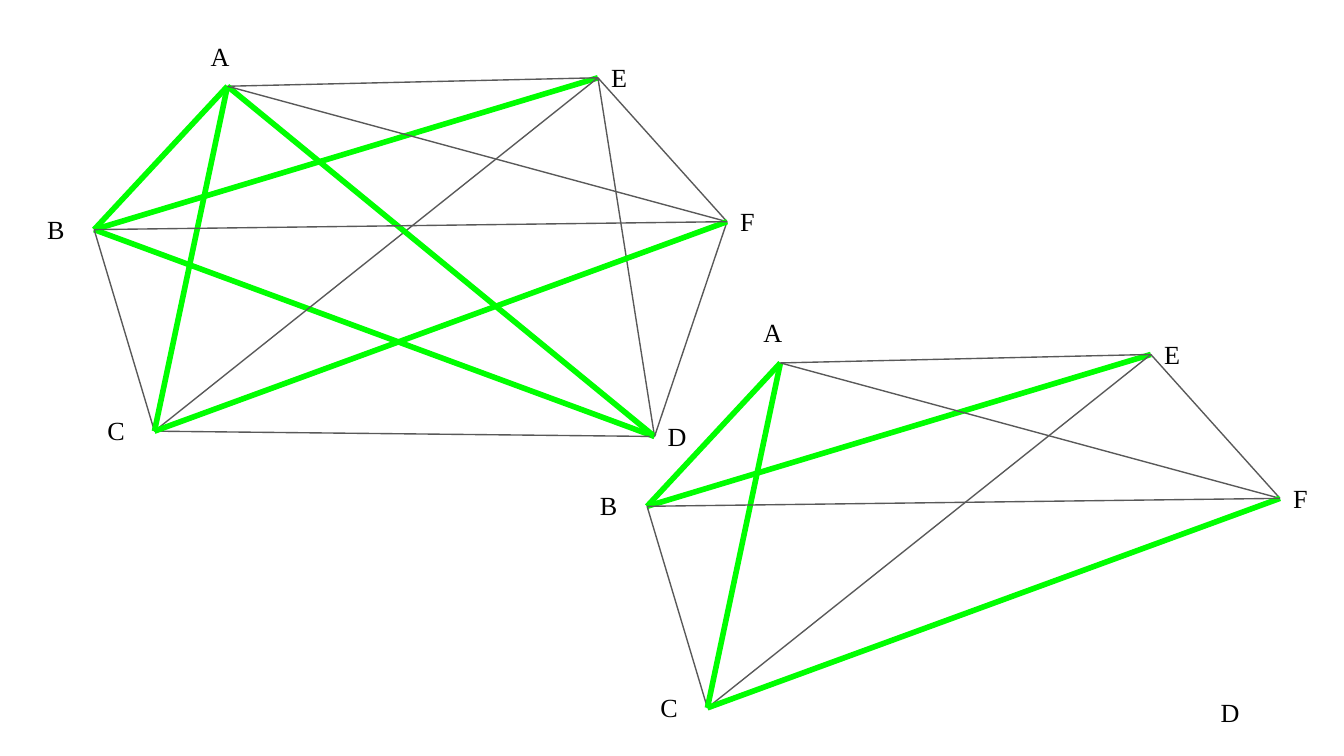
"""Build a slide with a six-point graph and the same graph without the edges of D."""
from lxml.etree import SubElement
from pptx import Presentation
from pptx.dml.color import RGBColor
from pptx.enum.shapes import MSO_CONNECTOR
from pptx.enum.text import MSO_AUTO_SIZE
from pptx.oxml.ns import qn
from pptx.util import Cm, Pt

COLORS = {"text": "000000", "green": "00FF00", "gray": "595959"}
LINE_WIDTHS = {"green": 3, "gray": 0.75}
FONT = {"name": "Times New Roman", "size": Pt(14)}
LABEL_WIDTH, LABEL_HEIGHT = 1.14, 1.12
FRAME = {
    "word_wrap": True,
    "auto_size": MSO_AUTO_SIZE.SHAPE_TO_FIT_TEXT,
    "margin_left": Cm(0.25),
    "margin_right": Cm(0.25),
    "margin_top": Cm(0.25),
    "margin_bottom": Cm(0.25),
}

TOP, LEFT, BOTTOM, RIGHT = range(4)
LABELS = {
    "A": (3.73, 0.51, BOTTOM),
    "B": (0.64, 3.78, RIGHT),
    "C": (1.78, 7.59, RIGHT),
    "D": (12.37, 7.69, LEFT),
    "E": (11.3, 0.91, LEFT),
    "F": (13.74, 3.63, LEFT),
}
EDGES = [
    ("BE", "green"), ("EA", "gray"), ("AB", "green"), ("BD", "green"),
    ("CD", "gray"), ("ED", "gray"), ("CE", "gray"), ("BC", "gray"),
    ("AC", "green"), ("AD", "green"), ("AF", "gray"), ("EF", "gray"),
    ("DF", "gray"), ("CF", "green"), ("FB", "gray"),
]
GRAPHS = [
    {"offset": (0, 0), "isolated": ""},
    {"offset": (10.45, 5.23), "isolated": "D"},
]


def apply(target, values):
    for name, value in values.items():
        setattr(target, name, value)


def add_label(page, letter, left, top):
    box = page.shapes.add_textbox(Cm(left), Cm(top), Cm(LABEL_WIDTH), Cm(LABEL_HEIGHT))
    apply(box.text_frame, FRAME)
    span = box.text_frame.paragraphs[0].add_run()
    span.text = letter
    apply(span.font, FONT)
    span.font.color.rgb = RGBColor.from_string(COLORS["text"])
    return box


def add_edge(page, boxes, ends, color):
    start, finish = ends
    edge = page.shapes.add_connector(MSO_CONNECTOR.STRAIGHT, 0, 0, 0, 0)
    edge.begin_connect(boxes[start], LABELS[start][2])
    edge.end_connect(boxes[finish], LABELS[finish][2])
    edge.line.color.rgb = RGBColor.from_string(COLORS[color])
    edge.line.width = Pt(LINE_WIDTHS[color])
    SubElement(edge._element.spPr, qn("a:effectLst"))


def add_graph(page, offset, isolated):
    shift_x, shift_y = offset
    boxes = {
        letter: add_label(page, letter, left + shift_x, top + shift_y)
        for letter, (left, top, _) in LABELS.items()
    }
    for ends, color in EDGES:
        if not isolated or isolated not in ends:
            add_edge(page, boxes, ends, color)


def main():
    deck = Presentation()
    deck.slide_width, deck.slide_height = Cm(25.4), Cm(14.29)
    page = deck.slides.add_slide(deck.slide_layouts[6])
    for graph in GRAPHS:
        add_graph(page, **graph)
    deck.save("out.pptx")


if __name__ == "__main__":
    main()
